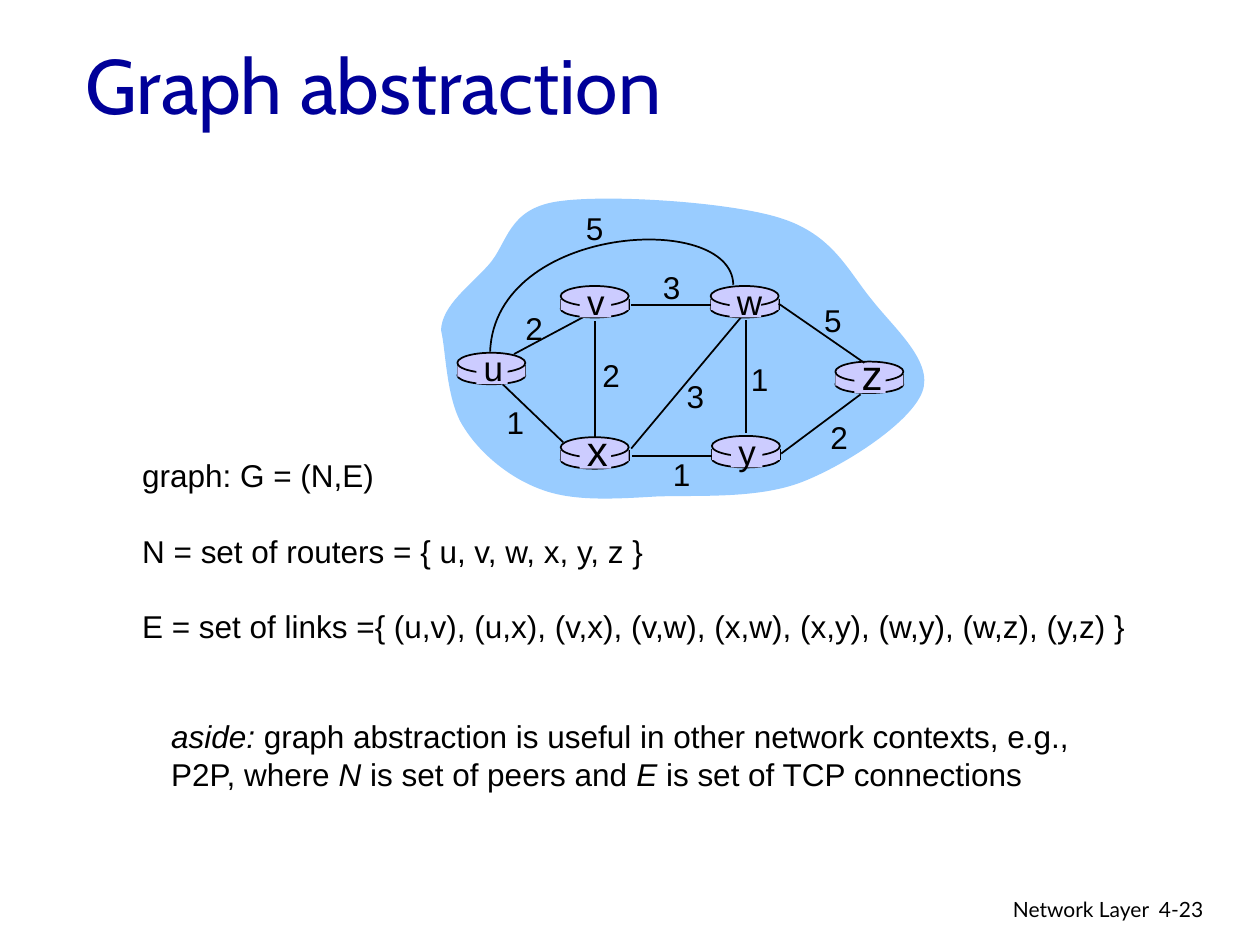
from lxml import etree
from pptx import Presentation
from pptx.dml.color import RGBColor
from pptx.enum.shapes import MSO_CONNECTOR, MSO_SHAPE
from pptx.enum.text import MSO_ANCHOR, MSO_AUTO_SIZE, PP_ALIGN
from pptx.oxml.ns import qn
from pptx.util import Inches, Pt

STRAIGHT = MSO_CONNECTOR.STRAIGHT
OVAL, RECTANGLE = MSO_SHAPE.OVAL, MSO_SHAPE.RECTANGLE
MIDDLE, TOP = MSO_ANCHOR.MIDDLE, MSO_ANCHOR.TOP
LEFT, CENTER, RIGHT = PP_ALIGN.LEFT, PP_ALIGN.CENTER, PP_ALIGN.RIGHT
NO_AUTOFIT = MSO_AUTO_SIZE.NONE

COLORS = {"title": "000099", "ink": "000000", "cloud": "99CCFF", "router": "CCCCFF"}
BODY_FONT, TITLE_FONT, FOOTER_FONT = "Arial", "Cabin", "Lato"
BODY_SIZE, LINE_HEIGHT = 18, 1.2
ROUTER_WIDTH = 0.54

# Positions below are inches from the top left of the graph.
# Curves: start, then two control points and an end for each piece
CLOUD = [
    (0, 1.08),
    (0.01, 0.88), (0.23, 0.73), (0.38, 0.56),
    (0.53, 0.39), (0.53, 0.12), (0.92, 0.06),
    (1.30, 0), (2.28, 0.06), (2.69, 0.19),
    (3.11, 0.32), (3.23, 0.61), (3.42, 0.84),
    (3.60, 1.07), (3.91, 1.33), (3.82, 1.57),
    (3.73, 1.81), (3.23, 2.14), (2.88, 2.28),
    (2.53, 2.42), (2.07, 2.39), (1.72, 2.40),
    (1.38, 2.42), (1.06, 2.44), (0.81, 2.35),
    (0.55, 2.26), (0.31, 2.06), (0.18, 1.85),
    (0.04, 1.64), (0.04, 1.24), (0, 1.08),
]
ARC = [(2.32, 0.72), (2.31, 0.13), (0.43, 0.24), (0.39, 1.25)]
ARC_COST = ("5", (1.22, 0.27))

# Name, top left, letter size
ROUTERS = [
    ("u", (0.13, 1.26), 20),
    ("x", (0.95, 1.93), 24),
    ("v", (0.95, 0.73), 20),
    ("w", (2.14, 0.73), 20),
    ("y", (2.15, 1.92), 20),
    ("z", (3.13, 1.33), 24),
]
# Start, end, cost, centre of the cost
LINKS = [
    ((0.58, 1.27), (1.18, 0.95), "2", (0.74, 1.06)),
    ((2.42, 1.00), (2.42, 1.90), "1", (2.53, 1.47)),
    ((1.22, 1.01), (1.22, 1.94), "2", (1.35, 1.44)),
    ((1.51, 2.02), (2.38, 0.98), "3", (2.02, 1.60)),
    ((2.70, 2.06), (3.33, 1.59), "2", (3.16, 1.93)),
    ((2.15, 2.08), (1.52, 2.08), "1", (1.91, 2.22)),
    ((0.97, 1.97), (0.49, 1.51), "1", (0.59, 1.81)),
    ((2.14, 0.88), (1.51, 0.88), "3", (1.83, 0.74)),
    ((3.36, 1.34), (2.68, 0.87), "5", (3.11, 1.00)),
]
DEFINITIONS = [
    [("graph: G = (N,E)", False)],
    [("N = set of routers = { u, v, w, x, y, z }", False)],
    [("E = set of links ={ (u,v), (u,x), (v,x), (v,w), (x,w), (x,y), (w,y), (w,z), (y,z) }", False)],
]
ASIDE = [
    [("aside:", True), (" graph abstraction is useful in other network contexts, e.g.,", False)],
    [("P2P, where ", False), ("N", True), (" is set of peers and ", False), ("E", True),
     (" is set of TCP connections", False)],
]


def set_font(paragraph, name, size, color="ink"):
    paragraph.font.name = name
    paragraph.font.size = Pt(size)
    paragraph.font.color.rgb = RGBColor.from_string(COLORS[color])


def style_line(line):
    line.color.rgb = RGBColor.from_string(COLORS["ink"])
    line.width = Pt(1)


def style(shape, fill=None, outlined=False):
    shape.shadow.inherit = False
    if fill:
        shape.fill.solid()
        shape.fill.fore_color.rgb = RGBColor.from_string(COLORS[fill])
    else:
        shape.fill.background()
    if outlined:
        style_line(shape.line)
    else:
        shape.line.fill.background()


def add_line(shapes, x1, y1, x2, y2):
    line = shapes.add_connector(STRAIGHT, Inches(x1), Inches(y1), Inches(x2), Inches(y2))
    style_line(line.line)
    etree.SubElement(line._element.spPr, qn("a:effectLst"))


def add_block(shapes, shape_type, left, top, width, height, outlined=False):
    shape = shapes.add_shape(
        shape_type, Inches(left), Inches(top), Inches(width), Inches(height))
    style(shape, "router", outlined)


def add_curve(shapes, left, top, points, closed):
    """Builds a polygon of the points, then joins each three segments into a cubic curve."""
    start, *others = [(Inches(left + x), Inches(top + y)) for x, y in points]
    builder = shapes.build_freeform(*start)
    builder.add_line_segments(others, closed)
    shape = builder.convert_to_shape()
    segments = list(shape._element.iter(qn("a:lnTo")))
    for index in range(0, len(others), 3):
        first, *rest = segments[index:index + 3]
        first.tag = qn("a:cubicBezTo")
        for segment in rest:
            first.append(segment[0])
            segment.getparent().remove(segment)
    return shape


def add_text(shapes, left, top, width, height, lines, font=BODY_FONT, size=BODY_SIZE,
             align=LEFT, line_height=LINE_HEIGHT, space_before=0):
    box = shapes.add_textbox(Inches(left), Inches(top), Inches(width), Inches(height))
    frame = box.text_frame
    frame.word_wrap = False
    frame.vertical_anchor = TOP
    for index, runs in enumerate(lines):
        paragraph = frame.paragraphs[0] if index == 0 else frame.add_paragraph()
        paragraph.alignment = align
        set_font(paragraph, font, size)
        if line_height:
            paragraph.line_spacing = Pt(size * line_height)
        if index:
            paragraph.space_before = Pt(space_before)
        for text, italic in runs:
            run = paragraph.add_run()
            run.text = text
            if italic:
                run.font.italic = True


def add_letter(shapes, center_x, center_y, text, size=BODY_SIZE):
    width, height = 0.34, size * LINE_HEIGHT / 72 + 0.1
    add_text(shapes, center_x - width / 2, center_y - height / 2, width, height,
             [[(text, False)]], size=size, align=CENTER)


def add_router(shapes, left, top):
    # Cylinder: base, sides, wall and lid
    add_block(shapes, OVAL, left, top + 0.11, ROUTER_WIDTH, 0.14, outlined=True)
    for side in (left, left + ROUTER_WIDTH):
        add_line(shapes, side, top + 0.1, side, top + 0.19)
    add_block(shapes, RECTANGLE, left, top + 0.1, ROUTER_WIDTH, 0.09)
    add_block(shapes, OVAL, left, top, ROUTER_WIDTH, 0.16, outlined=True)


def add_router_name(shapes, left, top, name, size):
    add_block(shapes, RECTANGLE, left + 0.15, top + 0.02, 0.25, 0.23)
    add_letter(shapes, left + 0.28, top + 0.12 - (size - 20) * 0.005, name, size)


def add_graph(slide, left, top):
    shapes = slide.shapes.add_group_shape().shapes
    style(add_curve(shapes, left, top, CLOUD, True), "cloud")
    # The first link runs behind the routers, the others in front
    for index, ((x1, y1), (x2, y2), _, _) in enumerate(LINKS):
        add_line(shapes, left + x1, top + y1, left + x2, top + y2)
        if index == 0:
            for _, (x, y), _ in ROUTERS:
                add_router(shapes, left + x, top + y)
    style(add_curve(shapes, left, top, ARC, False), outlined=True)
    for name, (x, y), size in ROUTERS:
        add_router_name(shapes, left + x, top + y, name, size)
    for cost, (x, y) in [link[2:] for link in LINKS] + [ARC_COST]:
        add_letter(shapes, left + x, top + y, cost)


def add_title(slide, left, top, width, height):
    title = slide.shapes.title
    title.left, title.top = Inches(left), Inches(top)
    title.width, title.height = Inches(width), Inches(height)
    frame = title.text_frame
    frame.text = "Graph abstraction"
    frame.auto_size = NO_AUTOFIT
    frame.vertical_anchor = MIDDLE
    frame.paragraphs[0].alignment = LEFT
    set_font(frame.paragraphs[0], TITLE_FONT, 44, "title")


def add_footer(slide, left, top):
    for text, offset, width, align in (("Network Layer", 0, 3.17, RIGHT), ("4-23", 3.05, 0.74, LEFT)):
        add_text(slide.shapes, left + offset, top, width, 0.3, [[(text, False)]],
                 FOOTER_FONT, 12, align, line_height=None)


def main():
    presentation = Presentation()
    presentation.slide_width, presentation.slide_height = Inches(10), Inches(7.5)
    slide = presentation.slides.add_slide(presentation.slide_layouts[5])
    add_title(slide, 0.58, 0.23, 8.5, 0.87)
    add_graph(slide, 3.5, 1.54)
    add_text(slide.shapes, 1.03, 3.57, 8.09, 1.6, DEFINITIONS, space_before=BODY_SIZE * LINE_HEIGHT)
    add_text(slide.shapes, 1.26, 5.64, 7.4, 0.7, ASIDE)
    add_footer(slide, 6.05, 7.07)
    presentation.save("out.pptx")


if __name__ == "__main__":
    main()
